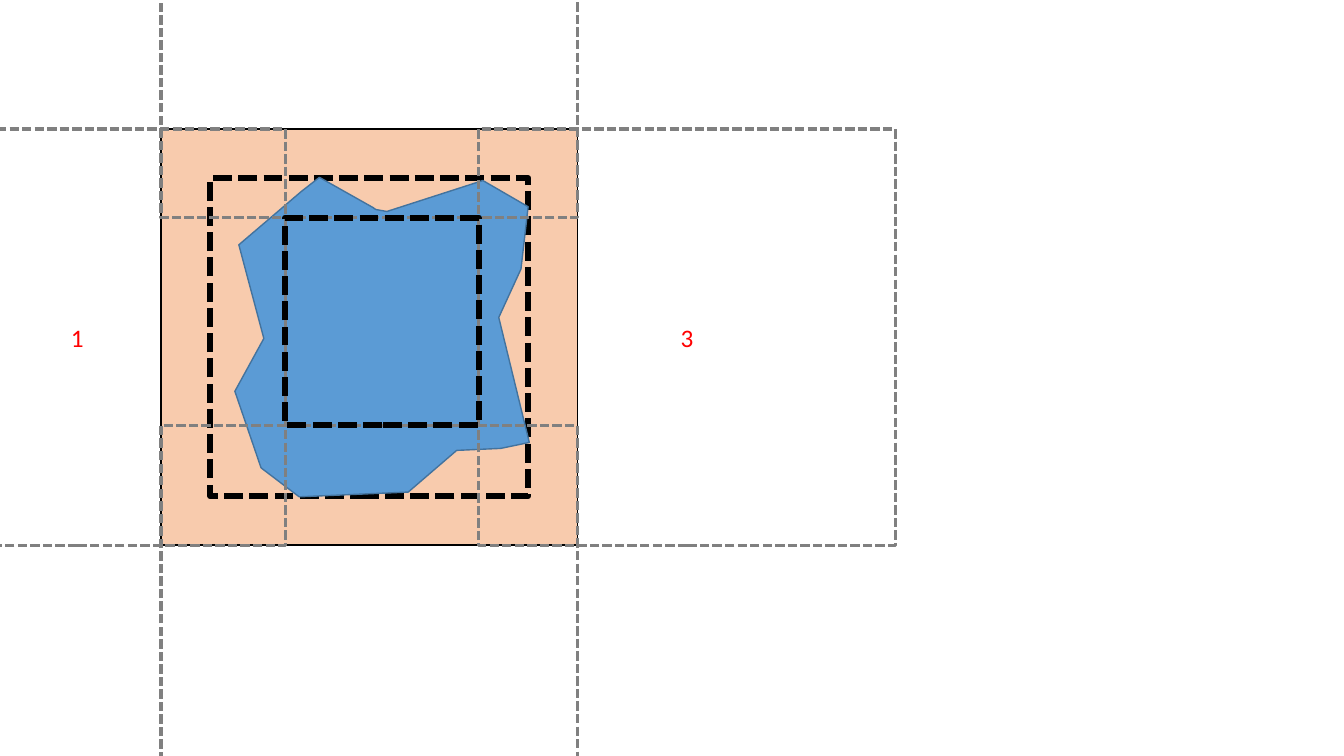
from dataclasses import dataclass
from typing import Optional

from pptx import Presentation
from pptx.dml.color import RGBColor
from pptx.enum.dml import MSO_LINE
from pptx.enum.shapes import MSO_SHAPE
from pptx.enum.text import MSO_ANCHOR, PP_ALIGN
from pptx.util import Cm, Pt

RECT = MSO_SHAPE.RECTANGLE
DASH = MSO_LINE.SQUARE_DOT
MIDDLE = MSO_ANCHOR.MIDDLE
CENTER = PP_ALIGN.CENTER

BLACK = RGBColor(0x00, 0x00, 0x00)
GRAY = RGBColor(0x80, 0x80, 0x80)
RED = RGBColor(0xFF, 0x00, 0x00)
PEACH = RGBColor(0xF8, 0xCB, 0xAD)
BLUE = RGBColor(0x5B, 0x9B, 0xD5)
NAVY = RGBColor(0x43, 0x73, 0x9E)

# Lengths in centimetres
SIDE = 10.49
LEFT, TOP = 4.06, 3.25
INSET = 1.24
EAST, WEST = 12.07, -3.3
SOUTH, NORTH = 10.72, -5.0

BLOB = [
    (7.59, 4.83), (6.02, 6.17), (6.65, 8.53), (5.92, 9.86), (6.58, 11.79),
    (7.54, 12.52), (10.29, 12.4), (11.51, 11.35), (12.62, 11.3),
    (13.34, 11.15), (12.57, 8.0), (13.13, 6.78), (13.31, 5.21),
    (12.17, 4.55), (9.75, 5.33), (9.47, 5.28), (9.4, 5.23), (8.05, 4.47),
]


@dataclass
class Box:
    left: float
    top: float
    width: float = SIDE
    height: float = SIDE
    line: RGBColor = GRAY
    weight: float = 2.25
    dashed: bool = True
    fill: Optional[RGBColor] = None
    label: str = ""


def paint(shape, fill: Optional[RGBColor], line: RGBColor, weight: float) -> None:
    shape.shadow.inherit = False
    if fill is None:
        shape.fill.background()
    else:
        shape.fill.solid()
        shape.fill.fore_color.rgb = fill
    shape.line.color.rgb = line
    shape.line.width = Pt(weight)


def draw_box(shapes, box: Box) -> None:
    shape = shapes.add_shape(
        RECT, Cm(box.left), Cm(box.top), Cm(box.width), Cm(box.height))
    paint(shape, box.fill, box.line, box.weight)
    if box.dashed:
        shape.line.dash_style = DASH
    if box.label:
        frame = shape.text_frame
        frame.vertical_anchor = MIDDLE
        para = frame.paragraphs[0]
        para.text = box.label
        para.alignment = CENTER
        para.font.name = "Calibri"
        para.font.size = Pt(18)
        para.font.color.rgb = RED


def draw_blob(shapes, points: list[tuple[float, float]]) -> None:
    start, *rest = [(Cm(x), Cm(y)) for x, y in points]
    outline = shapes.build_freeform(*start)
    outline.add_line_segments(rest, close=True)
    paint(outline.convert_to_shape(), BLUE, NAVY, 1)


deck = Presentation()
deck.slide_width, deck.slide_height = Cm(33.87), Cm(19.05)
shapes = deck.slides.add_slide(deck.slide_layouts[6]).shapes

# Central tile and the bounds of the blob
span = SIDE - 2 * INSET
draw_box(shapes, Box(LEFT, TOP, line=BLACK, weight=1, dashed=False, fill=PEACH))
draw_box(shapes, Box(LEFT + INSET, TOP + INSET, span, span, BLACK, 4.5))
draw_blob(shapes, BLOB)

# Neighbour tiles overlapping the centre
for tile in (Box(EAST, TOP, label="3"), Box(LEFT, SOUTH),
             Box(LEFT, NORTH), Box(WEST, TOP, label="1")):
    draw_box(shapes, tile)

# Core left free between the four neighbours
core_x, core_y = WEST + SIDE, NORTH + SIDE
draw_box(shapes, Box(core_x, core_y, EAST - core_x, SOUTH - core_y, BLACK, 4.5))

deck.save("out.pptx")
